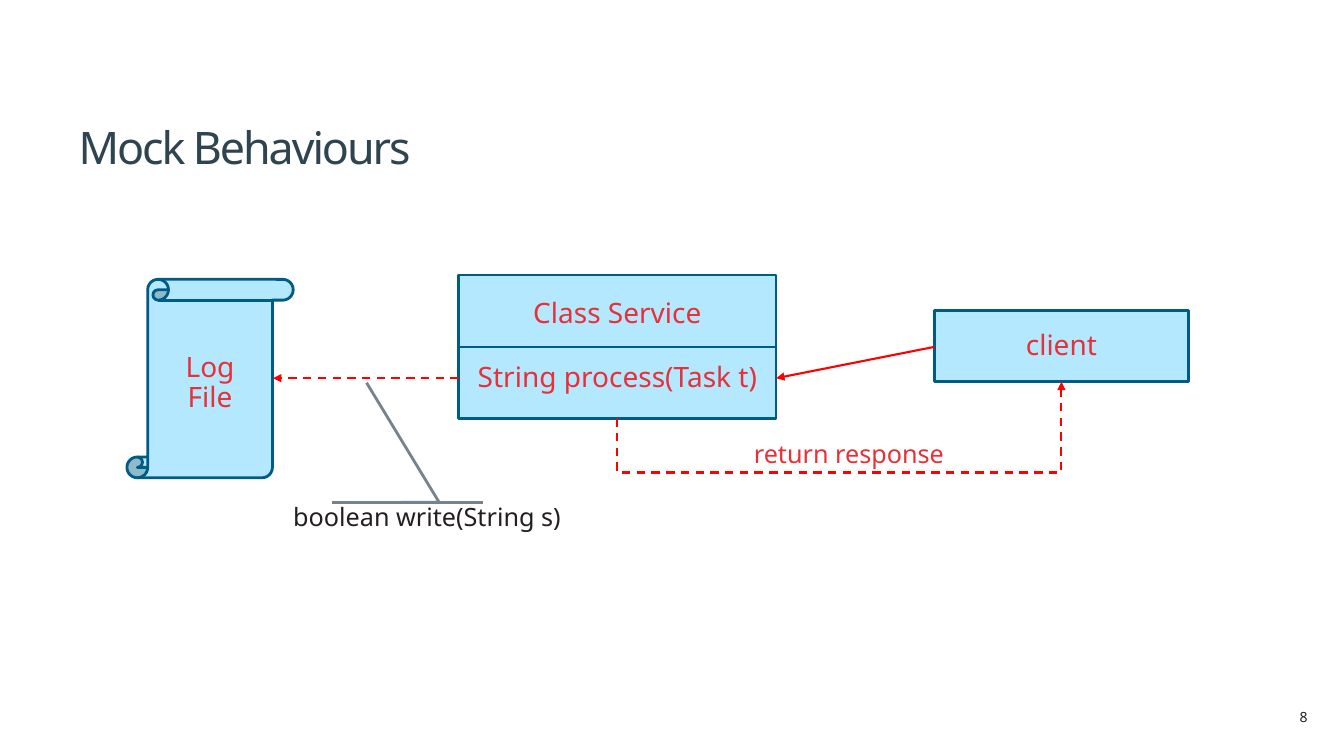
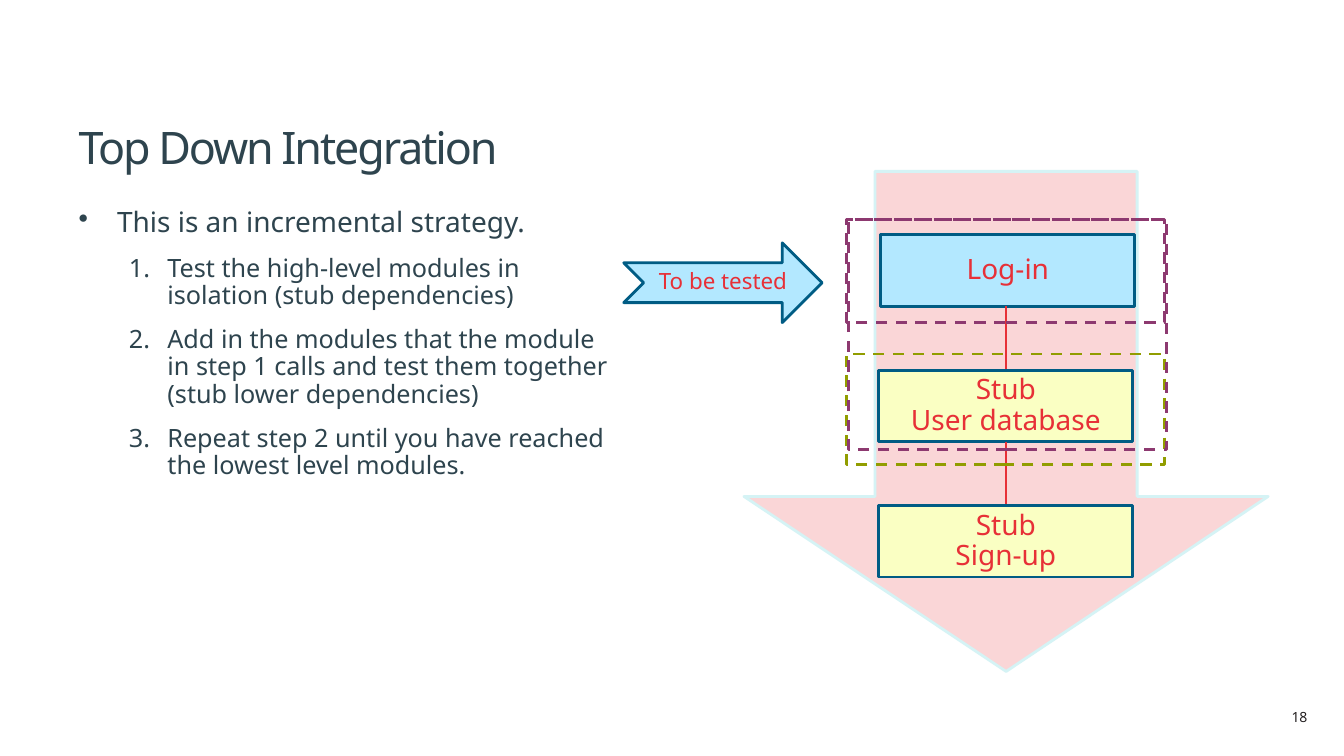
from lxml import etree
from pptx import Presentation
from pptx.dml.color import RGBColor
from pptx.enum.dml import MSO_LINE
from pptx.enum.shapes import MSO_CONNECTOR, MSO_SHAPE
from pptx.enum.text import MSO_ANCHOR, PP_ALIGN
from pptx.oxml.ns import qn
from pptx.util import Cm, Pt

DASH = MSO_LINE.DASH
STRAIGHT, ELBOW = MSO_CONNECTOR.STRAIGHT, MSO_CONNECTOR.ELBOW
RECTANGLE = MSO_SHAPE.RECTANGLE
TOP, MIDDLE, BOTTOM = MSO_ANCHOR.TOP, MSO_ANCHOR.MIDDLE, MSO_ANCHOR.BOTTOM
LEFT, CENTER, RIGHT = PP_ALIGN.LEFT, PP_ALIGN.CENTER, PP_ALIGN.RIGHT

COLORS = {
    "title": "2E444E", "text": "231F20", "label": "E73037", "arrow": "FF0000",
    "outline": "005C84", "module": "B3E8FF", "stub": "FAFFC3",
    "callout": "76838C", "big_arrow": "FAD6D7", "big_arrow_edge": "D5F3F5",
    "purple": "8D3970", "olive": "919D00",
}
COLORS = {name: RGBColor.from_string(value) for name, value in COLORS.items()}

FONT = "Noto Sans"
FORMATS = {
    "title": {"size": 32, "color": "title", "align": LEFT, "anchor": BOTTOM},
    "page": {"size": 10, "color": "text", "align": RIGHT, "anchor": TOP},
    "body": {"size": 20, "color": "title", "align": LEFT, "anchor": TOP},
    "label": {"size": 20, "color": "label", "align": CENTER, "anchor": MIDDLE},
    "small_label": {"size": 16, "color": "label", "align": CENTER, "anchor": MIDDLE},
    "response": {"size": 18, "color": "label", "align": LEFT, "anchor": TOP},
    "caption": {"size": 18, "color": "text", "align": LEFT, "anchor": TOP},
}


def add_box(slide, box, lines=(), style="label", preset=None, fill=None,
            line="outline", dash=None):
    """Add a preset shape, or a text box if there is no preset; box is in cm."""
    position = [Cm(length) for length in box]
    if preset is None:
        shape = slide.shapes.add_textbox(*position)
    else:
        shape = slide.shapes.add_shape(preset, *position)
        shape.shadow.inherit = False
        if fill:
            shape.fill.solid()
            shape.fill.fore_color.rgb = COLORS[fill]
        else:
            shape.fill.background()
        shape.line.color.rgb = COLORS[line]
        shape.line.width = Pt(2)
        if dash:
            shape.line.dash_style = dash
    text_format = FORMATS[style]
    frame = shape.text_frame
    frame.word_wrap = True
    frame.vertical_anchor = text_format["anchor"]
    for index, words in enumerate(lines):
        paragraph = frame.add_paragraph() if index else frame.paragraphs[0]
        paragraph.alignment = text_format["align"]
        paragraph.line_spacing = 0.9
        run = paragraph.add_run()
        run.text = words
        run.font.color.rgb = COLORS[text_format["color"]]
        for name, value in {"name": FONT, "size": Pt(text_format["size"])}.items():
            setattr(run.font, name, value)
    return shape


def add_line(slide, points, color, kind=STRAIGHT, dash=None, arrow=False):
    """Add a connector between two points; points is x1, y1, x2, y2 in cm."""
    connector = slide.shapes.add_connector(kind, *[Cm(value) for value in points])
    connector.line.color.rgb = COLORS[color]
    connector.line.width = Pt(1.5)
    if dash:
        connector.line.dash_style = dash
    if arrow:
        etree.SubElement(connector.line._get_or_add_ln(), qn("a:tailEnd"), type="triangle")
    etree.SubElement(connector._element.spPr, qn("a:effectLst"))
    return connector


presentation = Presentation()
presentation.slide_width, presentation.slide_height = Cm(33.87), Cm(19.05)

slides = []
for title, number in (("Mock Behaviours", "8"), ("Top Down Integration", "18")):
    slide = presentation.slides.add_slide(presentation.slide_layouts[6])
    add_box(slide, (30.53, 17.78, 2.67, 0.69), [number], "page")
    heading = add_box(slide, (1.73, 1.93, 30.12, 2.59), [title], "title")
    heading.text_frame.paragraphs[0].runs[0].font._element.set("spc", "-150")
    slides.append(slide)
mock_slide, integration_slide = slides

# Mock Behaviours: the service between its log file and its client
service_left, service_right, service_bottom = 11.56, 19.56, 10.54
client_left, client_bottom = 23.55, 9.62
middle_y, process_y = 8.74, 9.53

service = add_box(mock_slide, (service_left, 6.93, 8, 3.61),
                  ["Class Service", "String process(Task t)"],
                  preset=RECTANGLE, fill="module")
service.text_frame.paragraphs[1].space_before = Pt(24)
add_line(mock_slide, (service_left, middle_y, service_right, middle_y), "outline")
add_box(mock_slide, (client_left, 7.82, 6.4, 1.8), ["client"],
        preset=RECTANGLE, fill="module")
add_line(mock_slide, (client_left, middle_y, service_right, process_y), "arrow", arrow=True)
add_box(mock_slide, (3.2, 7.04, 4.19, 5), ["Log", "File"],
        preset=MSO_SHAPE.VERTICAL_SCROLL, fill="module")
add_line(mock_slide, (service_left, process_y, 6.88, process_y), "arrow",
         dash=DASH, arrow=True)

# The response runs below both boxes: an elbow turned by 90 degrees
start_x, end_x, bend_y = 15.56, 26.75, 11.91
center_x, center_y = (start_x + end_x) / 2, (service_bottom + client_bottom) / 2
half_rise, half_run = (service_bottom - client_bottom) / 2, (end_x - start_x) / 2
response = add_line(mock_slide, (center_x + half_rise, center_y + half_run,
                                 center_x - half_rise, center_y - half_run),
                    "arrow", kind=ELBOW, dash=DASH, arrow=True)
properties = response._element.spPr
properties.find(qn("a:xfrm")).set("rot", str(90 * 60000))
geometry = properties.find(qn("a:prstGeom"))
guides = geometry.find(qn("a:avLst"))
if guides is None:
    guides = etree.SubElement(geometry, qn("a:avLst"))
bend = (service_bottom - bend_y) / (service_bottom - client_bottom)
etree.SubElement(guides, qn("a:gd"), name="adj1", fmla=f"val {round(bend * 100000)}")
add_box(mock_slide, (18.75, 11, 5.99, 1.02), ["return response"], "response")

callout = add_box(mock_slide, (9.07, 12.4, 2.39, 3.81), line="callout",
                  preset=MSO_SHAPE.LINE_CALLOUT_2_ACCENT_BAR)
callout.rotation = 90
for index, value in enumerate((0.54, -0.19, 0.29, -0.19, 0.77, -1.45)):
    callout.adjustments[index] = value
add_box(mock_slide, (7.14, 12.6, 7.52, 1.02), ["boolean write(String s)"], "caption")

# Top Down Integration: the strategy on the left
strategy = add_box(integration_slide, (1.73, 5.13, 13.87, 12.19), [
    "This is an incremental strategy.",
    "Test the high-level modules in isolation (stub dependencies)",
    "Add in the modules that the module in step 1 calls and test them together "
    "(stub lower dependencies)",
    "Repeat step 2 until you have reached the lowest level modules.",
], "body")
for index, paragraph in enumerate(strategy.text_frame.paragraphs):
    paragraph.space_after = Pt(12)
    paragraph_properties = paragraph._p.get_or_add_pPr()
    paragraph_properties.set("marL", str(Cm(2.24 if index else 0.97)))
    paragraph_properties.set("indent", str(Cm(-0.97)))
    if index:
        paragraph.level = 1
        paragraph.runs[0].font.size = Pt(18)
        etree.SubElement(paragraph_properties, qn("a:buAutoNum"), type="arabicPeriod")
    else:
        etree.SubElement(paragraph_properties, qn("a:buChar"), char="•")

# The modules from top to bottom, and the frames of what is tested together
big_arrow = add_box(integration_slide, (18.75, 4.32, 13.21, 12.6),
                    preset=MSO_SHAPE.DOWN_ARROW, fill="big_arrow", line="big_arrow_edge")
big_arrow.adjustments[1] = 0.35

module_top, module_height, module_pitch = 5.92, 1.8, 3.41
modules = (
    (22.2, ["Log-in"], "module"),
    (22.15, ["Stub", "User database"], "stub"),
    (22.15, ["Stub", "Sign-up"], "stub"),
)
for index, (left, lines, fill) in enumerate(modules):
    top = module_top + index * module_pitch
    if index:
        add_line(integration_slide,
                 (25.35, top, 25.35, top - module_pitch + module_height), "label")
    add_box(integration_slide, (left, top, 6.4, module_height), lines,
            preset=RECTANGLE, fill=fill)

for left, top, height, color in ((21.34, 5.54, 2.59, "purple"),
                                 (21.34, 8.92, 2.79, "olive"),
                                 (21.39, 5.54, 5.79, "purple")):
    add_box(integration_slide, (left, top, 8, height), preset=RECTANGLE,
            line=color, dash=DASH)
add_box(integration_slide, (15.72, 6.12, 5, 2.01), ["To be tested"], "small_label",
        preset=MSO_SHAPE.NOTCHED_RIGHT_ARROW, fill="module")

presentation.save("out.pptx")
